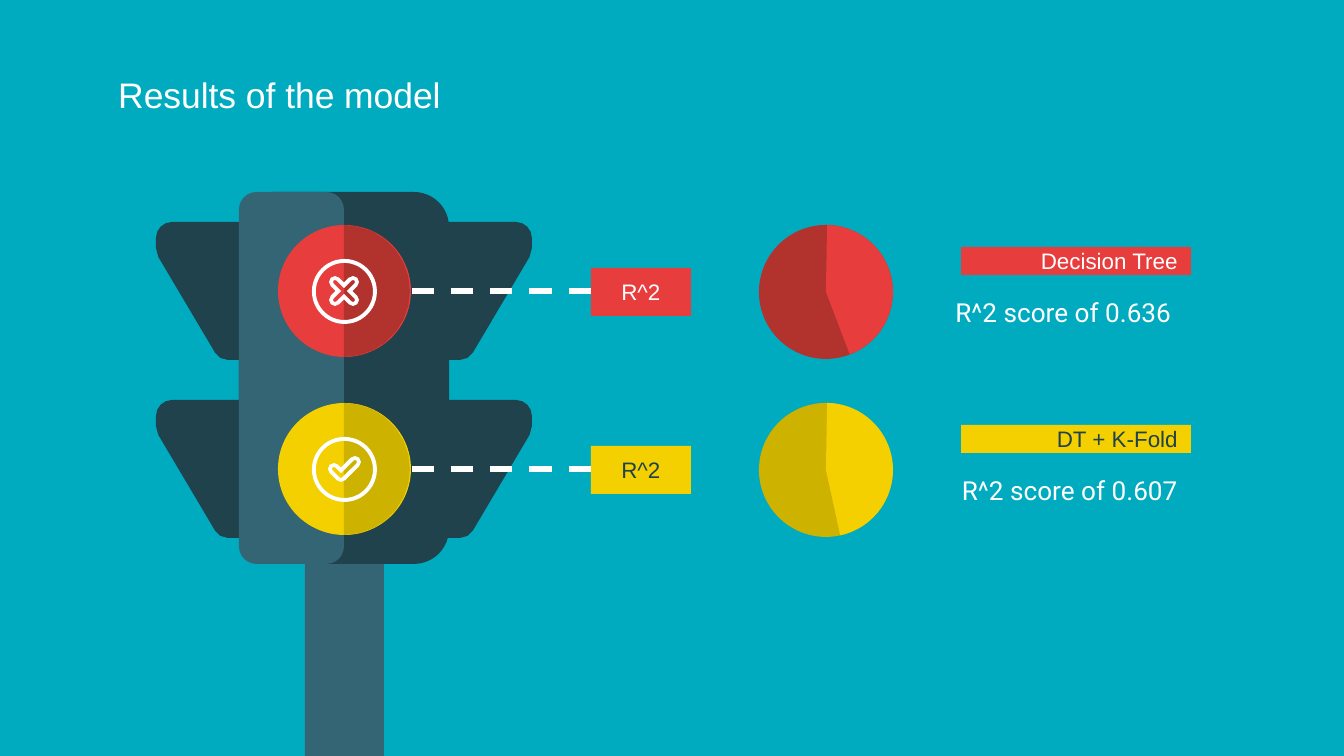
import math

import pptx
import pptx.dml.color
import pptx.enum.dml
import pptx.enum.shapes
import pptx.enum.text
import pptx.util
from lxml import etree

SHAPE = pptx.enum.shapes.MSO_SHAPE
ALIGN = pptx.enum.text.PP_ALIGN
ANCHOR = pptx.enum.text.MSO_ANCHOR
SCALE = 914400 / 134.4
AXIS = 344  # centre line of the traffic light

COLORS = {
    "background": "00ABBF", "white": "FFFFFF", "dark": "1F424C", "steel": "336574",
    "red": "E83D3D", "deep red": "B2322E", "yellow": "F4D000", "deep yellow": "CEB200",
}


def emu(pixels):
    """Turn pixels into EMU."""
    return pptx.util.Emu(round(pixels * SCALE))


def rgb(name):
    """Look up a named colour."""
    return pptx.dml.color.RGBColor.from_string(COLORS[name])


def paint(shape, color):
    """Give a shape a flat fill, without line or shadow."""
    shape.shadow.inherit = False
    shape.fill.solid()
    shape.fill.fore_color.rgb = rgb(color)
    shape.line.fill.background()


def add_block(slide, kind, box, color, adjustments=()):
    """Add a filled preset shape."""
    shape = slide.shapes.add_shape(kind, *map(emu, box))
    for index, value in enumerate(adjustments):
        shape.adjustments[index] = value
    paint(shape, color)
    return shape


def add_outline(slide, center, contours, color):
    """Add a filled freeform from contours measured from a centre."""
    placed = [[(emu(center[0] + x), emu(center[1] + y)) for x, y in contour]
              for contour in contours]
    builder = slide.shapes.build_freeform(*placed[0][0])
    builder.add_line_segments(placed[0][1:], close=True)
    for contour in placed[1:]:
        builder.move_to(*contour[0])
        builder.add_line_segments(contour[1:], close=True)
    paint(builder.convert_to_shape(), color)


def write(shape, text, size, color, align=ALIGN.LEFT, font="Arial", anchor=ANCHOR.MIDDLE):
    """Set the single paragraph of a shape."""
    frame = shape.text_frame
    frame.word_wrap = True
    frame.vertical_anchor = anchor
    frame.margin_left = frame.margin_right = pptx.util.Inches(0.1)
    frame.margin_top = frame.margin_bottom = pptx.util.Inches(0.1)
    paragraph = frame.paragraphs[0]
    paragraph.text = text
    paragraph.alignment = align
    paragraph.font.size = pptx.util.Pt(size)
    paragraph.font.name = font
    paragraph.font.color.rgb = rgb(color)


def arc(x, y, radius, start, end, steps=4):
    """List points on an arc, angles in degrees clockwise from the right."""
    angles = [math.radians(start + (end - start) * i / steps) for i in range(steps + 1)]
    return [(x + radius * math.cos(a), y + radius * math.sin(a)) for a in angles]


def visor(side, inner):
    """Outline a visor on the right (side 1) or the left (side -1)."""
    points = [(inner, -69), (inner, 69)]
    points += arc(116, 54, 15, 90, 30, 2) + arc(170, -43, 18, 30, 0, 1)
    points += arc(172, -53, 16, 0, -90)
    return [(side * x, y) for x, y in points]


def cross(radius):
    """Outline a cross with round arms of the given half width."""
    points = []
    for turn in (45, 135, 225, 315):
        tip = math.radians(turn)
        notch = math.radians(turn + 45)
        reach = 9 * math.sqrt(2)
        points += arc(reach * math.cos(tip), reach * math.sin(tip), radius,
                      turn - 90, turn + 90)
        corner = radius * math.sqrt(2)
        points.append((corner * math.cos(notch), corner * math.sin(notch)))
    return points


def check(radius):
    """Outline a check mark with round ends of the given half width."""
    return (arc(-10, 0, radius, 135, 315) + [(-3, 7 - radius * math.sqrt(2))]
            + arc(11, -7, radius, 225, 405) + arc(-3, 7, radius, 45, 135, 2))


def add_housing(slide, rows):
    """Draw the pole, the visors and the two-tone body."""
    add_block(slide, SHAPE.RECTANGLE, (305, 555, 79, 201), "steel")
    for side, inner, width, color in ((1, 94, 210, "dark"), (-1, 75, 105, "steel")):
        for y in rows:
            add_outline(slide, (AXIS, y), [visor(side, inner)], "dark")
        add_block(slide, SHAPE.ROUNDED_RECTANGLE, (239, 192, width, 372), color, [0.167])


def add_lamp(slide, y, color, icon):
    """Draw a two-tone lamp with a ringed icon."""
    add_block(slide, SHAPE.OVAL, (AXIS - 66, y - 66, 133, 132), color)
    add_outline(slide, (AXIS, y), [arc(0, 0, 66, -90, 90, 14)], "deep " + color)
    add_block(slide, SHAPE.DONUT, (AXIS - 32, y - 32, 65, 65), "white", [0.06])
    add_outline(slide, (AXIS, y), [icon(6), icon(2)], "white")


def add_dashes(slide, y):
    """Draw the dashed line from the tag to the lamp."""
    line = slide.shapes.add_connector(pptx.enum.shapes.MSO_CONNECTOR.STRAIGHT,
                                      emu(591), emu(y), emu(411), emu(y))
    line.line.color.rgb = rgb("white")
    line.line.width = pptx.util.Pt(3)
    line.line.dash_style = pptx.enum.dml.MSO_LINE.DASH
    properties = line._element.spPr
    etree.SubElement(properties, pptx.oxml.ns.qn("a:effectLst"))


def add_result(slide, y, color, ink, name, score, degrees):
    """Draw the tag, the pie, the heading and the score of one model."""
    pie_box = (759, y - 66, 134, 134)
    add_block(slide, SHAPE.OVAL, pie_box, "deep " + color)
    add_block(slide, SHAPE.PIE, pie_box, color, [162.61, degrees * 0.6])
    heading = add_block(slide, SHAPE.RECTANGLE, (961, y - 44, 230, 28), color)
    write(heading, name, 12, ink, ALIGN.RIGHT)
    caption = slide.shapes.add_textbox(*map(emu, (918, y - 3, 273, 48)))
    write(caption, score, 14, "white", ALIGN.RIGHT, "Roboto")
    tag = add_block(slide, SHAPE.RECTANGLE, (591, y - 23, 100, 48), color)
    write(tag, "R^2", 12, ink, ALIGN.CENTER)


def main():
    """Build the slide and save it."""
    presentation = pptx.Presentation()
    presentation.slide_width, presentation.slide_height = emu(1344), emu(756)
    slide = presentation.slides.add_slide(presentation.slide_layouts[6])
    slide.background.fill.solid()
    slide.background.fill.fore_color.rgb = rgb("background")

    title = slide.shapes.add_textbox(*map(emu, (105, 60, 1134, 85)))
    write(title, "Results of the model", 19, "white", anchor=ANCHOR.TOP)

    models = (
        (291, "red", "white", cross, "Decision Tree", "R^2 score of 0.636 ", 69.06),
        (469, "yellow", "dark", check, "DT + K-Fold", "R^2 score of 0.607", 77.64),
    )
    add_housing(slide, [model[0] for model in models])
    for y, color, ink, icon, name, score, degrees in models:
        add_lamp(slide, y, color, icon)
        add_result(slide, y, color, ink, name, score, degrees)
        add_dashes(slide, y)
    presentation.save("out.pptx")


main()
